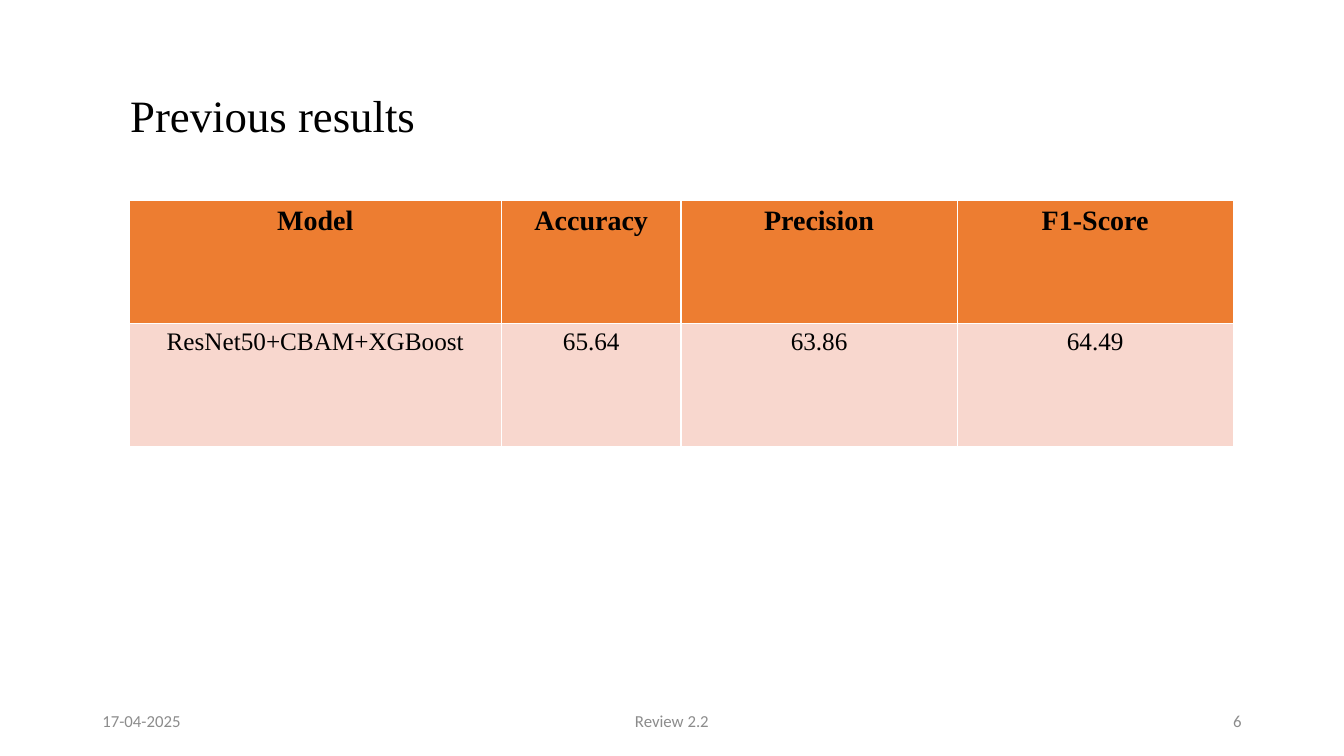
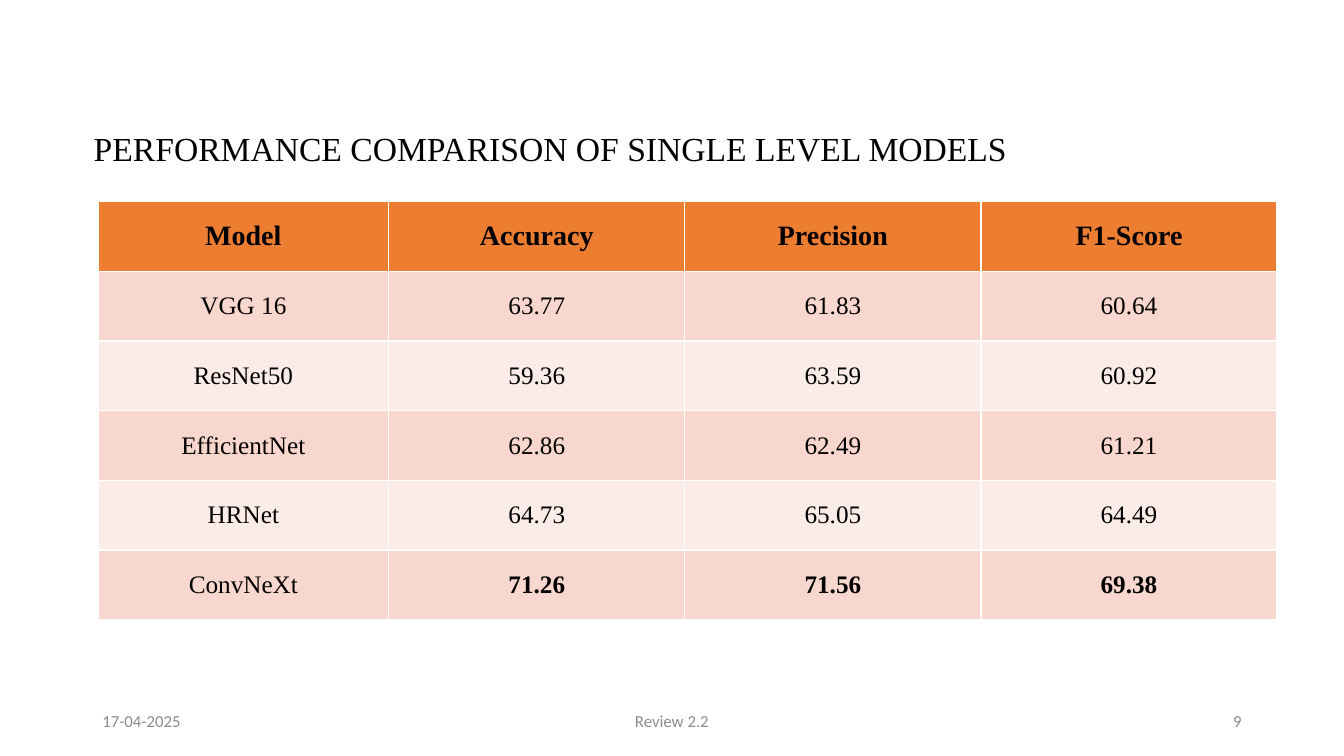
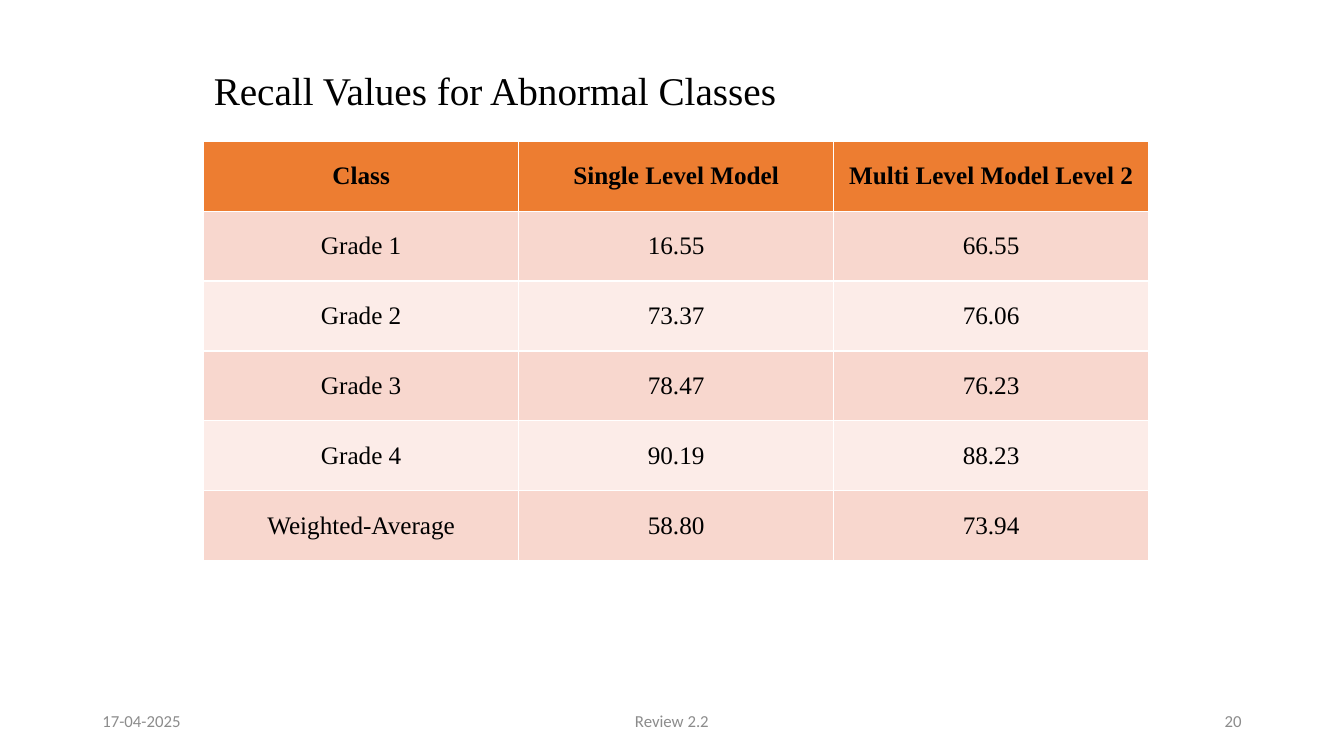
from pptx import Presentation
from pptx.dml.color import RGBColor
from pptx.enum.text import MSO_ANCHOR, MSO_AUTO_SIZE, PP_ALIGN
from pptx.util import Pt

LEFT, CENTER, RIGHT = PP_ALIGN.LEFT, PP_ALIGN.CENTER, PP_ALIGN.RIGHT
TOP, MIDDLE = MSO_ANCHOR.TOP, MSO_ANCHOR.MIDDLE
NO_FIT = MSO_AUTO_SIZE.NONE
TITLE_ONLY = 5
SERIF, SANS = "Times New Roman", "Calibri"
COLORS = {"text": "000000", "foot": "8C8C8C", "head": "ED7D31",
          "odd": "F8D7CE", "even": "FCECE8"}
DATE, REVIEW = "17-04-2025", "Review 2.2"
SCORES = ["Model", "Accuracy", "Precision", "F1-Score"]


def color(name):
    return RGBColor.from_string(COLORS[name])


def write(frame, text, size, align=LEFT, font=SERIF, ink="text", bold=False):
    frame.text = text
    para = frame.paragraphs[0]
    para.alignment = align
    style = para.runs[0].font
    style.name, style.size, style.bold = font, Pt(size), bold
    style.color.rgb = color(ink)


def add_title(slide, text, box, size):
    title = slide.shapes.title
    title.left, title.top, title.width, title.height = map(Pt, box)
    frame = title.text_frame
    frame.auto_size, frame.word_wrap = NO_FIT, True
    frame.vertical_anchor = MIDDLE
    write(frame, text, size)


def add_footer(slide, number, left=66, top=500.5, height=28.75):
    """Place date, review name and page number in a row from left, top."""
    parts = [(0, 216, DATE, LEFT), (252, 324, REVIEW, CENTER),
             (612, 216, str(number), RIGHT)]
    for shift, width, text, align in parts:
        box = slide.shapes.add_textbox(Pt(left + shift), Pt(top),
                                       Pt(width), Pt(height))
        frame = box.text_frame
        frame.word_wrap, frame.vertical_anchor = True, MIDDLE
        write(frame, text, 12, align, SANS, "foot")


def add_grid(slide, rows, spot, widths, height, head=20, anchor=MIDDLE,
             strong=()):
    """Place a table at spot; strong holds the (row, column) of bold values."""
    left, top = spot
    table = slide.shapes.add_table(
        len(rows), len(widths), Pt(left), Pt(top),
        Pt(sum(widths)), Pt(height * len(rows))).table
    for column, width in zip(table.columns, widths):
        column.width = Pt(width)
    for r, row in enumerate(rows):
        table.rows[r].height = Pt(height)
        fill = "head" if r == 0 else "odd" if r % 2 else "even"
        for c, text in enumerate(row):
            cell = table.cell(r, c)
            cell.fill.solid()
            cell.fill.fore_color.rgb = color(fill)
            cell.vertical_anchor = anchor
            write(cell.text_frame, text, 18 if r else head, CENTER,
                  bold=r == 0 or (r, c) in strong)


def add_page(deck, number, title, box, size):
    slide = deck.slides.add_slide(deck.slide_layouts[TITLE_ONLY])
    add_title(slide, title, box, size)
    add_footer(slide, number)
    return slide


def main():
    deck = Presentation()
    deck.slide_width, deck.slide_height = Pt(960), Pt(540)

    page = add_page(deck, 6, "Previous results", (85.75, 49, 823, 66), 32)
    rows = [SCORES, ["ResNet50+CBAM+XGBoost", "65.64", "63.86", "64.49"]]
    add_grid(page, rows, (92.25, 143), [266, 128.25, 197.25, 197.25], 88,
             anchor=TOP)

    page = add_page(deck, 9, "PERFORMANCE COMPARISON OF SINGLE LEVEL MODELS",
                    (59.75, 88, 749.5, 36), 24)
    rows = [SCORES,
            ["VGG 16", "63.77", "61.83", "60.64"],
            ["ResNet50", "59.36", "63.59", "60.92"],
            ["EfficientNet", "62.86", "62.49", "61.21"],
            ["HRNet", "64.73", "65.05", "64.49"],
            ["ConvNeXt", "71.26", "71.56", "69.38"]]
    add_grid(page, rows, (70, 144), [207.75] + [211.5] * 3, 49.8,
             strong=[(5, c) for c in (1, 2, 3)])

    page = add_page(deck, 20, "Recall Values for Abnormal Classes",
                    (145.5, 44, 653, 41), 28)
    rows = [["Class", "Single Level Model", "Multi Level Model Level 2"],
            ["Grade 1", "16.55", "66.55"],
            ["Grade 2", "73.37", "76.06"],
            ["Grade 3", "78.47", "76.23"],
            ["Grade 4", "90.19", "88.23"],
            ["Weighted-Average", "58.80", "73.94"]]
    add_grid(page, rows, (145.5, 101), [225] * 3, 49.9, head=18)

    deck.save("out.pptx")


if __name__ == "__main__":
    main()
